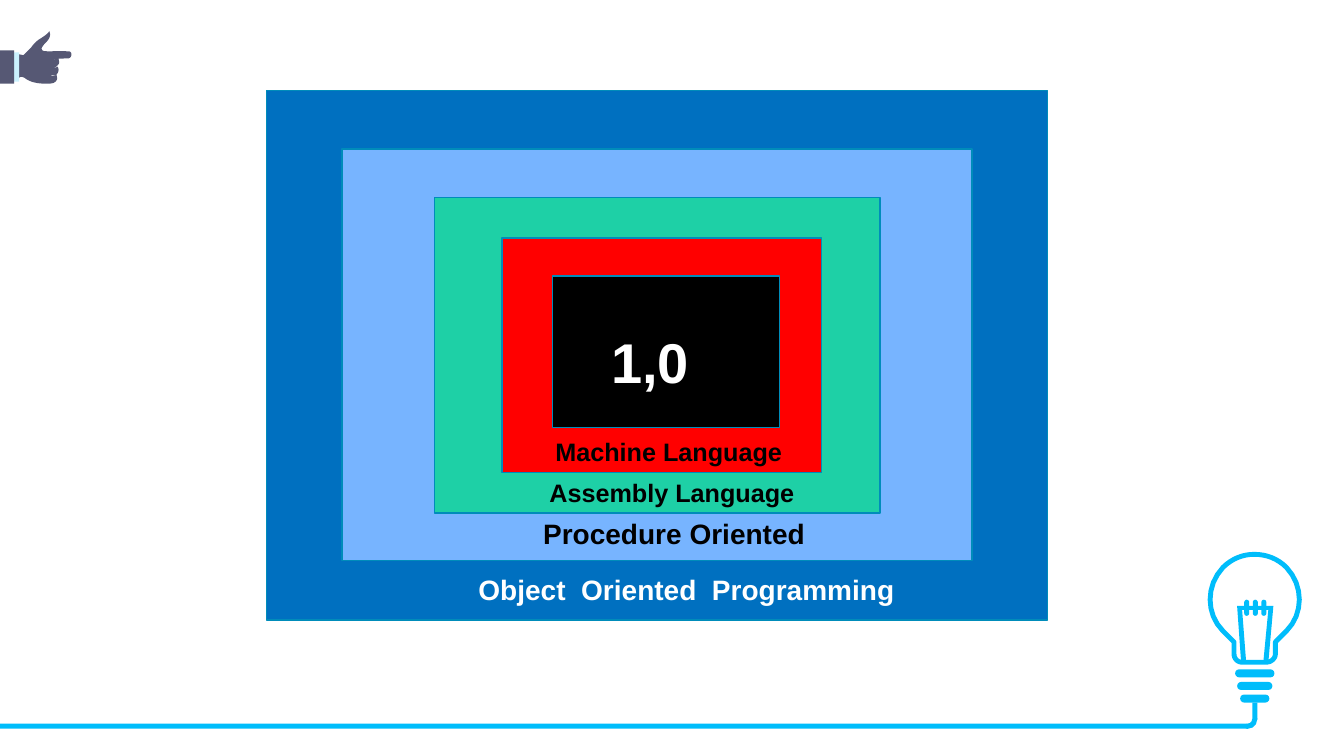
from pptx import Presentation
from pptx.dml.color import RGBColor
from pptx.enum.shapes import MSO_SHAPE
from pptx.enum.text import MSO_AUTO_SIZE, PP_ALIGN
from pptx.util import Inches, Pt

COLORS = {
    "white": "FFFFFF", "black": "000000", "sky": "00BDFB", "slate": "565874",
    "cuff": "CBF2FF", "border": "008CBA", "object": "0070C0",
    "procedure": "77B4FF", "assembly": "1ED0A6", "machine": "FF0000",
}
CURVE_STEPS = 8

# Two numbers are a corner; six are a Bezier curve's controls and end point.
BULB = [
    (12.44, 5.5), (12.56, 5.5, 12.67, 5.54, 12.76, 5.63),
    (12.93, 5.81, 12.93, 6.09, 12.76, 6.26), (12.65, 6.37), (12.65, 6.49),
    (12.65, 6.53, 12.61, 6.57, 12.56, 6.57), (12.32, 6.57),
    (12.27, 6.57, 12.24, 6.53, 12.24, 6.49), (12.24, 6.37), (12.13, 6.26),
    (11.96, 6.09, 11.96, 5.81, 12.13, 5.63),
    (12.22, 5.54, 12.33, 5.5, 12.44, 5.5),
]
FILAMENT = [
    (12.27, 6.01), (12.63, 6.01), (12.58, 6.57), (12.53, 6.57),
    (12.58, 6.05), (12.32, 6.05), (12.36, 6.57), (12.31, 6.57),
]
HAND = [
    (0.49, 0.31), (0.46, 0.35, 0.42, 0.37, 0.39, 0.39),
    (0.36, 0.41, 0.34, 0.43, 0.31, 0.47), (0.28, 0.5, 0.26, 0.52, 0.25, 0.53),
    (0.23, 0.56, 0.22, 0.54, 0.19, 0.54), (0.19, 0.77),
    (0.21, 0.76, 0.21, 0.76, 0.24, 0.77), (0.31, 0.83, 0.42, 0.83, 0.45, 0.83),
    (0.5, 0.83, 0.53, 0.83, 0.55, 0.81), (0.57, 0.79, 0.57, 0.78, 0.56, 0.74),
    (0.54, 0.76, 0.51, 0.75, 0.49, 0.74), (0.49, 0.74, 0.55, 0.75, 0.56, 0.74),
    (0.58, 0.72, 0.59, 0.69, 0.57, 0.66), (0.55, 0.68, 0.52, 0.67, 0.49, 0.67),
    (0.49, 0.67, 0.55, 0.68, 0.57, 0.65), (0.59, 0.63, 0.59, 0.62, 0.58, 0.58),
    (0.55, 0.59, 0.53, 0.59, 0.49, 0.59), (0.6, 0.58, 0.64, 0.58, 0.68, 0.58),
    (0.72, 0.57, 0.72, 0.5, 0.67, 0.51), (0.62, 0.5, 0.43, 0.52, 0.42, 0.5),
    (0.41, 0.48, 0.41, 0.48, 0.43, 0.45), (0.45, 0.42, 0.52, 0.38, 0.49, 0.31),
]
LAYERS = [
    (2.64, 0.9, 7.75, 5.25, "object"),
    (3.39, 1.48, 6.25, 4.08, "procedure"),
    (4.31, 1.96, 4.42, 3.13, "assembly"),
    (4.98, 2.36, 3.17, 2.33, "machine"),
    (5.48, 2.74, 2.25, 1.5, "black"),
]
LABELS = [
    (" 1,0", 5.81, 3.2, 1.64, 0.77, 40, "white", PP_ALIGN.LEFT),
    ("Assembly Language", 5.35, 4.69, 2.75, 0.4, 18, "black", PP_ALIGN.LEFT),
    ("Procedure Oriented ", 4.81, 5.08, 3.83, 0.44, 20, "black", PP_ALIGN.CENTER),
    ("Object  Oriented  Programming", 4.31, 5.63, 5, 0.44, 20, "white",
     PP_ALIGN.CENTER),
    ("Machine Language", 5.41, 4.28, 2.93, 0.4, 18, "black", PP_ALIGN.LEFT),
]


def rgb(name):
    """Look up a named colour."""
    return RGBColor.from_string(COLORS[name])


def paint(shape, fill, border=None, weight=1):
    """Give a shape a flat fill and an optional border."""
    shape.shadow.inherit = False
    shape.fill.solid()
    shape.fill.fore_color.rgb = rgb(fill)
    if border:
        shape.line.color.rgb = rgb(border)
        shape.line.width = Pt(weight)
    else:
        shape.line.fill.background()


def add_block(slide, left, top, width, height, fill, border=None,
              preset=MSO_SHAPE.RECTANGLE, adjustments=()):
    """Add a preset shape."""
    block = slide.shapes.add_shape(
        preset, Inches(left), Inches(top), Inches(width), Inches(height))
    for index, value in enumerate(adjustments):
        block.adjustments[index] = value
    paint(block, fill, border)


def add_pill(slide, left, top, width, height):
    """Add a bar with fully rounded ends."""
    add_block(slide, left, top, width, height, "sky",
              preset=MSO_SHAPE.ROUNDED_RECTANGLE, adjustments=(0.5,))


def curve_points(start, curve):
    """Sample a cubic Bezier curve after its start point."""
    points = [start, curve[:2], curve[2:4], curve[4:]]
    for step in range(1, CURVE_STEPS + 1):
        t = step / CURVE_STEPS
        weights = ((1 - t) ** 3, 3 * t * (1 - t) ** 2, 3 * t * t * (1 - t), t ** 3)
        yield tuple(sum(w * p[axis] for w, p in zip(weights, points))
                    for axis in (0, 1))


def add_outline(slide, segments, fill, border=None, weight=1):
    """Add a closed freeform made of corners and curves."""
    points = [segments[0]]
    for segment in segments[1:]:
        if len(segment) == 2:
            points.append(segment)
        else:
            points.extend(curve_points(points[-1], segment))
    corners = [(Inches(x), Inches(y)) for x, y in points]
    builder = slide.shapes.build_freeform(*corners[0])
    builder.add_line_segments(corners[1:], close=True)
    paint(builder.convert_to_shape(), fill, border, weight)


def add_label(slide, wording, left, top, width, height, size, color, align):
    """Add a bold one-line label."""
    label = slide.shapes.add_textbox(
        Inches(left), Inches(top), Inches(width), Inches(height))
    frame = label.text_frame
    frame.word_wrap = True
    frame.auto_size = MSO_AUTO_SIZE.SHAPE_TO_FIT_TEXT
    paragraph = frame.paragraphs[0]
    paragraph.alignment = align
    run = paragraph.add_run()
    run.text = wording
    run.font.name = "Arial"
    run.font.size = Pt(size)
    run.font.bold = True
    run.font.color.rgb = rgb(color)


def add_lamp(slide):
    """Draw the light bulb and the cable along the bottom."""
    add_outline(slide, BULB, "white", "sky", 3.5)
    for row, width in enumerate((0.39, 0.35, 0.29)):
        add_pill(slide, 12.445 - width / 2, 6.64 + row * 0.125, width, 0.08)
    add_outline(slide, FILAMENT, "sky")
    for coil in range(3):
        add_pill(slide, 12.34 + coil * 0.085, 5.95, 0.05, 0.16)
    add_block(slide, 0, 7.18, 12.37, 0.05, "sky")
    add_block(slide, 12.42, 6.97, 0.05, 0.17, "sky")
    add_block(slide, 12.28, 7.04, 0.19, 0.19, "sky",
              preset=MSO_SHAPE.BLOCK_ARC, adjustments=(213.394, 60.915, 0.271))


def add_pointing_hand(slide):
    """Draw the pointing hand with its cuff and sleeve."""
    add_outline(slide, HAND, "slate")
    add_block(slide, 0.12, 0.52, 0.07, 0.29, "cuff")
    add_block(slide, 0, 0.5, 0.14, 0.33, "slate")


def main():
    """Build the slide of nested language levels."""
    deck = Presentation()
    deck.slide_width, deck.slide_height = Inches(13.33), Inches(7.5)
    slide = deck.slides.add_slide(deck.slide_layouts[6])
    add_lamp(slide)
    add_pointing_hand(slide)
    for layer in LAYERS:
        add_block(slide, *layer, border="border")
    for label in LABELS:
        add_label(slide, *label)
    deck.save("out.pptx")


if __name__ == "__main__":
    main()
